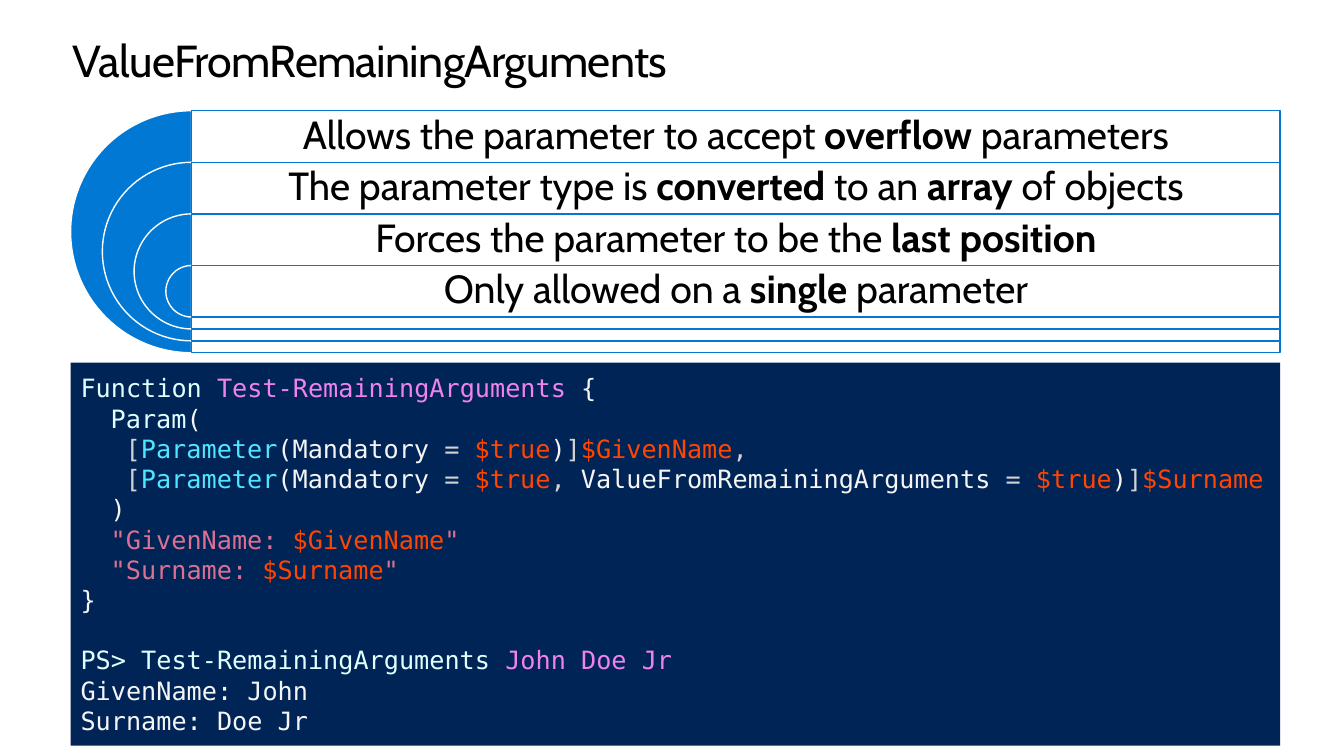
from pptx import Presentation
from pptx.dml.color import RGBColor as Rgb
from pptx.enum.shapes import MSO_SHAPE as Kind
from pptx.enum.text import MSO_ANCHOR as Anchor, MSO_AUTO_SIZE as Fit, PP_ALIGN as Align
from pptx.oxml.ns import qn
from pptx.util import Cm, Pt
from lxml.etree import SubElement as Sub

INK = {
    "black": "000000", "white": "FFFFFF", "blue": "0078D4", "navy": "012456",
    "key": "E0FFFF", "name": "EE82EE", "plain": "F5F5F5", "mark": "D3D3D3",
    "type": "50E6FF", "var": "FF4500", "str": "DB7093",
}
SANS, MONO = "Cabin", "DejaVu Sans Mono"

# Asterisks enclose bold words
POINTS = [
    "Allows the parameter to accept *overflow* parameters",
    "The parameter type is *converted* to an *array* of objects",
    "Forces the parameter to be the *last position*",
    "Only allowed on a *single* parameter",
]

# Code lines: indent in characters, then pairs of text and colour
EQUALS = [("= ", "mark"), ("$true", "var")]
OPEN = [("[", "mark"), ("Parameter", "type"), ("(Mandatory ", "plain"), *EQUALS]
CLOSE = [(")", "plain"), ("]", "mark")]
CODE = [
    (0, [("Function ", "key"), ("Test-RemainingArguments", "name"), (" {", "plain")]),
    (2, [("Param", "key"), ("(", "plain")]),
    (3, [*OPEN, *CLOSE, ("$GivenName", "var"), (",", "mark")]),
    (3, [*OPEN, (", ", "mark"), ("ValueFromRemainingArguments ", "plain"),
         *EQUALS, *CLOSE, ("$Surname", "var")]),
    (2, [(")", "plain")]),
    (2, [('"GivenName: ', "str"), ("$GivenName", "var"), ('"', "str")]),
    (2, [('"Surname: ', "str"), ("$Surname", "var"), ('"', "str")]),
    (0, [("}", "plain")]),
]
OUTPUT = [
    (0, [("PS> Test-RemainingArguments ", "key"), ("John Doe Jr", "name")]),
    (0, [("GivenName: John", "plain")]),
    (0, [("Surname: Doe Jr", "plain")]),
]
CHAR = 0.38  # width of one code character in cm
LINE = 21.5  # height of one code line in points


def write(par, text, font=SANS, size=28, ink="black", bold=False, track=None):
    run = par.add_run()
    run.text = text
    run.font.name, run.font.size, run.font.bold = font, Pt(size), bold
    run.font.color.rgb = Rgb.from_string(INK[ink])
    if track is not None:
        run.font._element.set("spc", str(int(track * 100)))


def inset(frame, gap):
    frame.margin_left = frame.margin_right = Cm(gap)
    frame.margin_top = frame.margin_bottom = Cm(gap)
    frame.word_wrap = True


def shape(shapes, kind, box, fill, line=None, alpha=None):
    item = shapes.add_shape(kind, *map(Cm, box))
    item.shadow.inherit = False
    item.fill.solid()
    item.fill.fore_color.rgb = Rgb.from_string(INK[fill])
    if alpha:
        tone = item._element.spPr.find(qn("a:solidFill"))[0]
        Sub(tone, qn("a:alpha")).set("val", str(alpha * 1000))
    if line:
        item.line.color.rgb = Rgb.from_string(INK[line])
        item.line.width = Pt(1)
    else:
        item.line.fill.background()
    return item


def label(shapes, box, text):
    frame = shapes.add_textbox(*map(Cm, box)).text_frame
    inset(frame, 0.3)
    frame.vertical_anchor = Anchor.MIDDLE
    par = frame.paragraphs[0]
    par.alignment, par.line_spacing = Align.CENTER, 0.9
    for i, part in enumerate(text.split("*")):
        if part:
            write(par, part, bold=i % 2 == 1)


def heading(slide, text):
    title = slide.shapes.title
    title.left, title.top, title.width, title.height = map(Cm, (1.83, 0.89, 30.23, 1.27))
    frame = title.text_frame
    inset(frame, 0)
    frame.auto_size = Fit.SHAPE_TO_FIT_TEXT
    frame.vertical_anchor = Anchor.TOP
    par = frame.paragraphs[0]
    par.alignment, par.line_spacing = Align.LEFT, Pt(36.2)
    write(par, text, size=32, track=-0.5)


def target(slide):
    # Nested half discs, each with its bar and its point
    shapes = slide.shapes.add_group_shape().shapes
    left, top, width, row, full, shrink = 4.83, 2.79, 27.43, 1.3, 6.1, 1.6
    for i, text in enumerate(POINTS):
        size, y = full - i * shrink, top + i * row
        pie = shape(shapes, Kind.PIE, (left - size / 2, y, size, size), "blue", "white")
        pie.adjustments[0], pie.adjustments[1] = 54, 162
        shape(shapes, Kind.RECTANGLE, (left, y, width, size), "white", "blue", 90)
        label(shapes, (left, y, width, row), text)


def listing(slide):
    panel = shape(slide.shapes, Kind.RECTANGLE, (1.78, 9.14, 30.48, 9.65), "navy")
    frame = panel.text_frame
    inset(frame, 0.25)
    frame.vertical_anchor = Anchor.TOP
    for i, (indent, parts) in enumerate(CODE + OUTPUT):
        par = frame.add_paragraph() if i else frame.paragraphs[0]
        par.alignment = Align.LEFT
        if i == len(CODE):
            par.space_before = Pt(LINE)
        if indent:
            par._p.get_or_add_pPr().set("marL", str(Cm(indent * CHAR)))
        for text, ink in parts:
            write(par, text, font=MONO, size=18, ink=ink)


def main():
    deck = Presentation()
    deck.slide_width, deck.slide_height = Cm(33.87), Cm(19.05)
    slide = deck.slides.add_slide(deck.slide_layouts[5])
    heading(slide, "ValueFromRemainingArguments")
    listing(slide)
    target(slide)
    deck.save("out.pptx")


if __name__ == "__main__":
    main()
